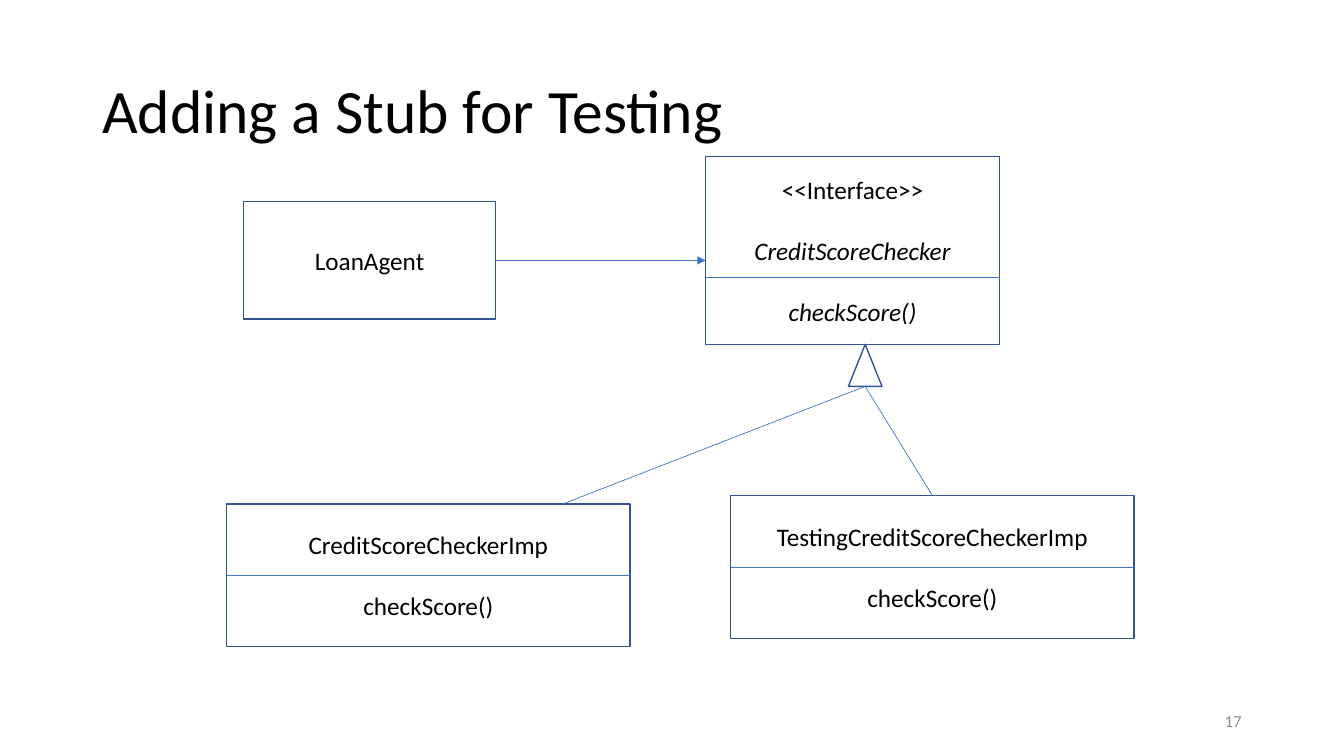
from lxml import etree
from pptx import Presentation
from pptx.dml.color import RGBColor
from pptx.enum.shapes import MSO_CONNECTOR, MSO_SHAPE
from pptx.enum.text import MSO_ANCHOR, PP_ALIGN
from pptx.oxml.ns import qn
from pptx.util import Pt


def rgb(value):
    return RGBColor.from_string(value)


def write(p, text, align, size, color="000000", italic=False):
    p.alignment = align
    r = p.add_run()
    r.text = text
    r.font.color.rgb = rgb(color)
    for name, value in {"name": "Calibri", "size": Pt(size), "italic": italic}.items():
        setattr(r.font, name, value)


prs = Presentation()
prs.slide_width, prs.slide_height = Pt(960), Pt(540)
s = prs.slides.add_slide(prs.slide_layouts[6])

labels = [
    ("Adding a Stub for Testing", (66, 28.8, 828, 104.4), PP_ALIGN.LEFT, 44, "000000", 0.9),
    ("17", (678, 500.4, 216, 28.8), PP_ALIGN.RIGHT, 12, "8C8C8C", 1.0),
]
for text, place, align, size, color, spacing in labels:
    tf = s.shapes.add_textbox(*map(Pt, place)).text_frame
    tf.word_wrap = True
    tf.vertical_anchor = MSO_ANCHOR.MIDDLE
    p = tf.paragraphs[0]
    p.line_spacing = spacing
    write(p, text, align, size, color)

RECT, TRIANGLE = MSO_SHAPE.RECTANGLE, MSO_SHAPE.ISOSCELES_TRIANGLE
nodes = [
    ("agent", RECT, (174, 144, 180, 84), ["LoanAgent"], ()),
    ("interface", RECT, (504, 111.6, 210, 134.4),
     ["<<Interface>>", "CreditScoreChecker", "checkScore()"], (1, 2)),
    ("imp", RECT, (162, 360, 288, 102), ["CreditScoreCheckerImp", "checkScore()"], ()),
    ("stub", RECT, (522, 354, 288, 102), ["TestingCreditScoreCheckerImp", "checkScore()"], ()),
    ("triangle", TRIANGLE, (606, 246, 24, 30), [], ()),
]
boxes = {}
for name, kind, place, lines, italics in nodes:
    sp = s.shapes.add_shape(kind, *map(Pt, place))
    sp.shadow.inherit = False
    sp.fill.background()
    sp.line.color.rgb = rgb("325491")
    sp.line.width = Pt(1)
    boxes[name] = sp
    tf = sp.text_frame
    tf.word_wrap = True
    tf.vertical_anchor = MSO_ANCHOR.MIDDLE
    for i, text in enumerate(lines):
        p = tf.add_paragraph() if i else tf.paragraphs[0]
        if i:
            p.space_before = Pt(22)
        write(p, text, PP_ALIGN.CENTER, 18, italic=i in italics)

links = [
    ((354, 186, 504, 186), ("agent", 3), None, True),
    ((504, 198, 714, 198), None, None, False),
    ((162, 411, 450, 411), ("imp", 1), ("imp", 3), False),
    ((522, 405, 810, 405), ("stub", 1), ("stub", 3), False),
    ((618, 276, 402, 360), None, None, False),
    ((618, 276, 666, 354), None, ("stub", 0), False),
]
for ends, start, stop, arrow in links:
    c = s.shapes.add_connector(MSO_CONNECTOR.STRAIGHT, *map(Pt, ends))
    if start:
        c.begin_connect(boxes[start[0]], start[1])
    if stop:
        c.end_connect(boxes[stop[0]], stop[1])
    c.line.color.rgb = rgb("4472C4")
    c.line.width = Pt(0.5)
    if arrow:
        etree.SubElement(c.line._get_or_add_ln(), qn("a:tailEnd"), type="triangle")
    etree.SubElement(c._element.spPr, qn("a:effectLst"))

prs.save("out.pptx")
